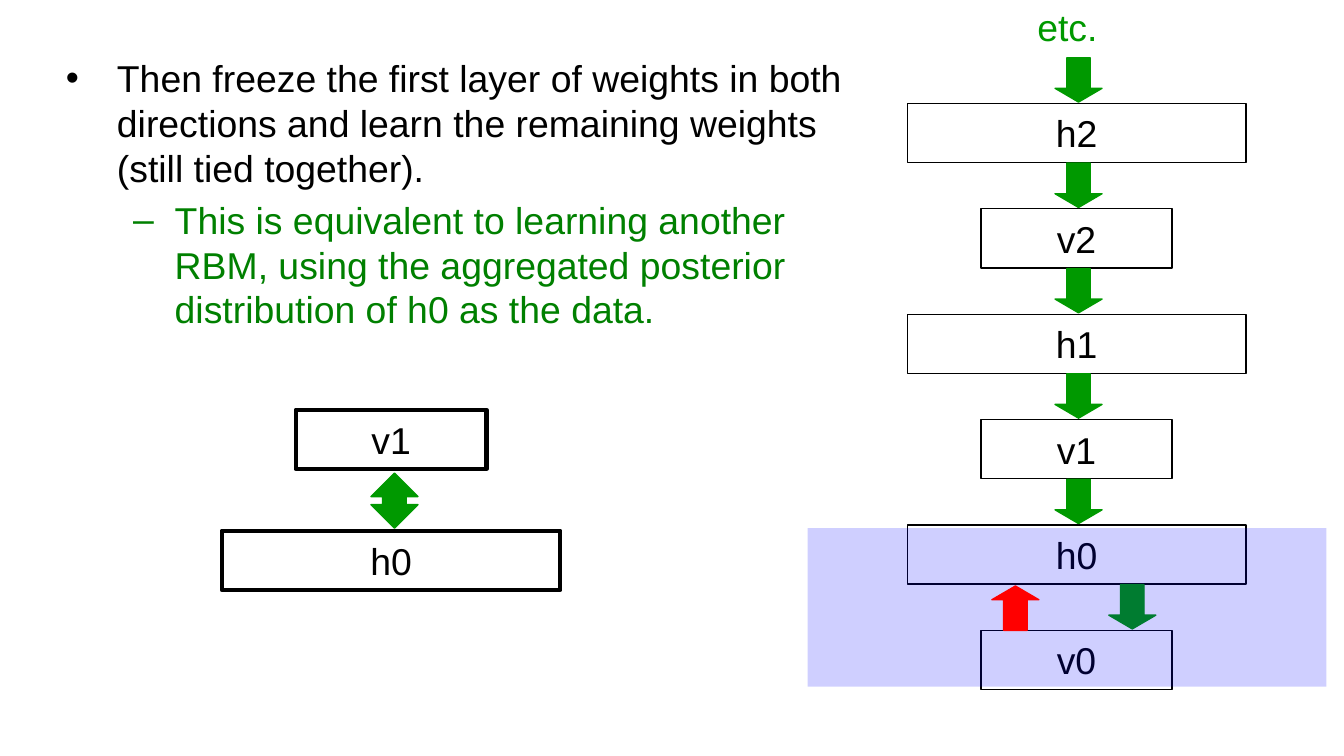
from lxml import etree
from pptx import Presentation
from pptx.dml.color import RGBColor
from pptx.enum.shapes import MSO_SHAPE
from pptx.enum.text import MSO_ANCHOR, MSO_AUTO_SIZE, PP_ALIGN
from pptx.oxml.ns import qn
from pptx.util import Inches, Pt

RECTANGLE = MSO_SHAPE.RECTANGLE
DOWN_ARROW = MSO_SHAPE.DOWN_ARROW
UP_DOWN_ARROW = MSO_SHAPE.UP_DOWN_ARROW
LEFT = PP_ALIGN.LEFT
CENTER = PP_ALIGN.CENTER
MIDDLE = MSO_ANCHOR.MIDDLE
NO_AUTOFIT = MSO_AUTO_SIZE.NONE

BLACK, GREEN, DARK_GREEN = "000000", "009900", "008000"
RED, BLUE = "FF0000", "0000FF"

SLIDE_WIDTH = 10
SLIDE_HEIGHT = SLIDE_WIDTH * 9 / 16
STACK = ["h2", "v2", "h1", "v1", "h0", "v0"]
STACK_TOP, STACK_BOTTOM = 0.77, 4.69
ROW_STEP = (STACK_BOTTOM - STACK_TOP) / (len(STACK) - 1)
STACK_CENTER, PAIR_CENTER = 8.01, 2.91
LAYER_WIDTHS = {"h": 2.52, "v": 1.42}
LAYER_HEIGHT = 0.44
ARROW_WIDTH, ARROW_HEIGHT = 0.35, 0.33
ARROW_LEFT = 7.85
ARROW_RISE = 0.34
SHAFT, HEAD = 0.5, 0.31
ARROW_SHARES = {DOWN_ARROW: (SHAFT, HEAD), UP_DOWN_ARROW: (HEAD, SHAFT)}


def color(value):
    return RGBColor.from_string(value)


def inches(*lengths):
    return [Inches(length) for length in lengths]


def write(paragraph, text, ink=BLACK, align=LEFT, size=20, font="Arial"):
    paragraph.text = text
    paragraph.alignment = align
    paragraph.font.size = Pt(size)
    paragraph.font.name = font
    paragraph.font.color.rgb = color(ink)


def set_bullet(paragraph, character, indent, hanging):
    properties = paragraph._p.get_or_add_pPr()
    properties.set("marL", str(Inches(indent)))
    properties.set("indent", str(-Inches(hanging)))
    etree.SubElement(properties, qn("a:buChar")).set("char", character)


def add_shape(slide, kind, box, fill=None, line=None, weight=0.75):
    shape = slide.shapes.add_shape(kind, *inches(*box))
    shape.shadow.inherit = False
    if fill:
        shape.fill.solid()
        shape.fill.fore_color.rgb = color(fill)
    else:
        shape.fill.background()
    if line:
        shape.line.color.rgb = color(line)
        shape.line.width = Pt(weight)
    else:
        shape.line.fill.background()
    return shape


def add_layer(slide, name, center, top, weight=0.75):
    width = LAYER_WIDTHS[name[0]]
    box = (center - width / 2, top, width, LAYER_HEIGHT)
    shape = add_shape(slide, RECTANGLE, box, line=BLACK, weight=weight)
    shape.text_frame.vertical_anchor = MIDDLE
    write(shape.text_frame.paragraphs[0], name, align=CENTER)


def add_arrow(slide, left, top, height=ARROW_HEIGHT, kind=DOWN_ARROW, ink=GREEN):
    arrow = add_shape(slide, kind, (left, top, ARROW_WIDTH, height), ink, ink)
    for index, share in enumerate(ARROW_SHARES[kind]):
        arrow.adjustments[index] = share
    return arrow


def add_body(slide):
    title = slide.shapes.title.element
    title.getparent().remove(title)
    body = slide.placeholders[1]
    body.left, body.top, body.width, body.height = inches(0.39, 0.36, 5.98, 2.63)
    frame = body.text_frame
    frame.auto_size = NO_AUTOFIT
    points = [
        ("Then freeze the first layer of weights in both directions and learn "
         "the remaining weights (still tied together).", BLACK, "•", 0.38, 0.38),
        ("This is equivalent to learning another RBM, using the aggregated "
         "posterior distribution of h0 as the data.", DARK_GREEN, "–", 0.81, 0.31),
    ]
    for level, (text, ink, character, indent, hanging) in enumerate(points):
        paragraph = frame.add_paragraph() if level else frame.paragraphs[0]
        paragraph.level = level
        set_bullet(paragraph, character, indent, hanging)
        write(paragraph, text, ink)
        paragraph.space_before = Pt(4 * level)


def add_stack(slide):
    label = slide.shapes.add_textbox(*inches(7.62, -0.02, 1.22, LAYER_HEIGHT))
    label.text_frame.word_wrap = True
    write(label.text_frame.paragraphs[0], "etc.", GREEN)
    for row, name in enumerate(STACK):
        top = STACK_TOP + row * ROW_STEP
        add_layer(slide, name, STACK_CENTER, top)
        last = row == len(STACK) - 1
        add_arrow(slide, 8.25 if last else ARROW_LEFT, top - ARROW_RISE)


def add_frozen_layer(slide):
    band = add_shape(slide, RECTANGLE, (6.01, 3.93, 3.86, 1.18), BLUE)
    fill_color = band.element.spPr.find(qn("a:solidFill"))[0]
    etree.SubElement(fill_color, qn("a:alpha")).set("val", "19000")
    add_arrow(slide, 7.38, 4.36, ink=RED).rotation = 180


def add_pair(slide):
    add_arrow(slide, 2.76, 3.52, height=0.41, kind=UP_DOWN_ARROW)
    add_layer(slide, "v1", PAIR_CENTER, 3.05, weight=2.25)
    add_layer(slide, "h0", PAIR_CENTER, 3.95, weight=2.25)


def main():
    presentation = Presentation()
    presentation.slide_width, presentation.slide_height = inches(SLIDE_WIDTH, SLIDE_HEIGHT)
    slide = presentation.slides.add_slide(presentation.slide_layouts[1])
    add_body(slide)
    add_stack(slide)
    add_frozen_layer(slide)
    add_pair(slide)
    presentation.save("out.pptx")


if __name__ == "__main__":
    main()
